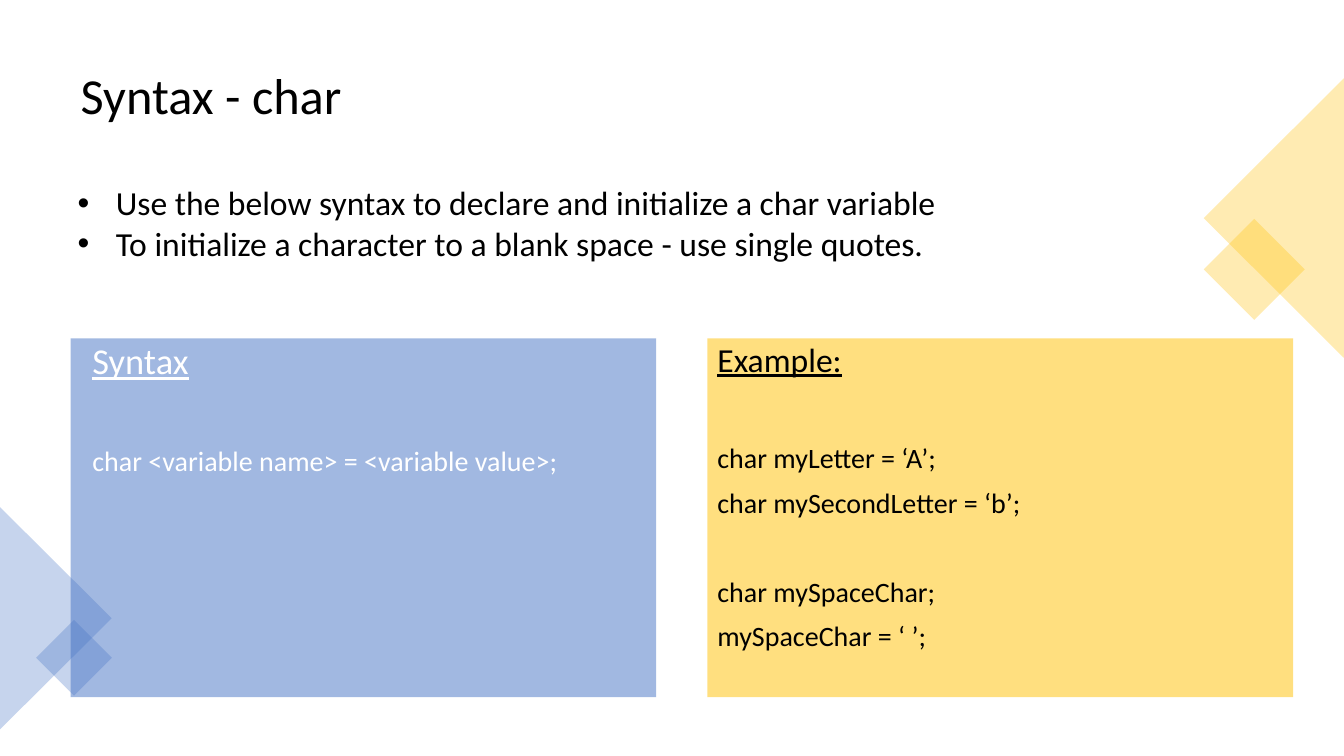
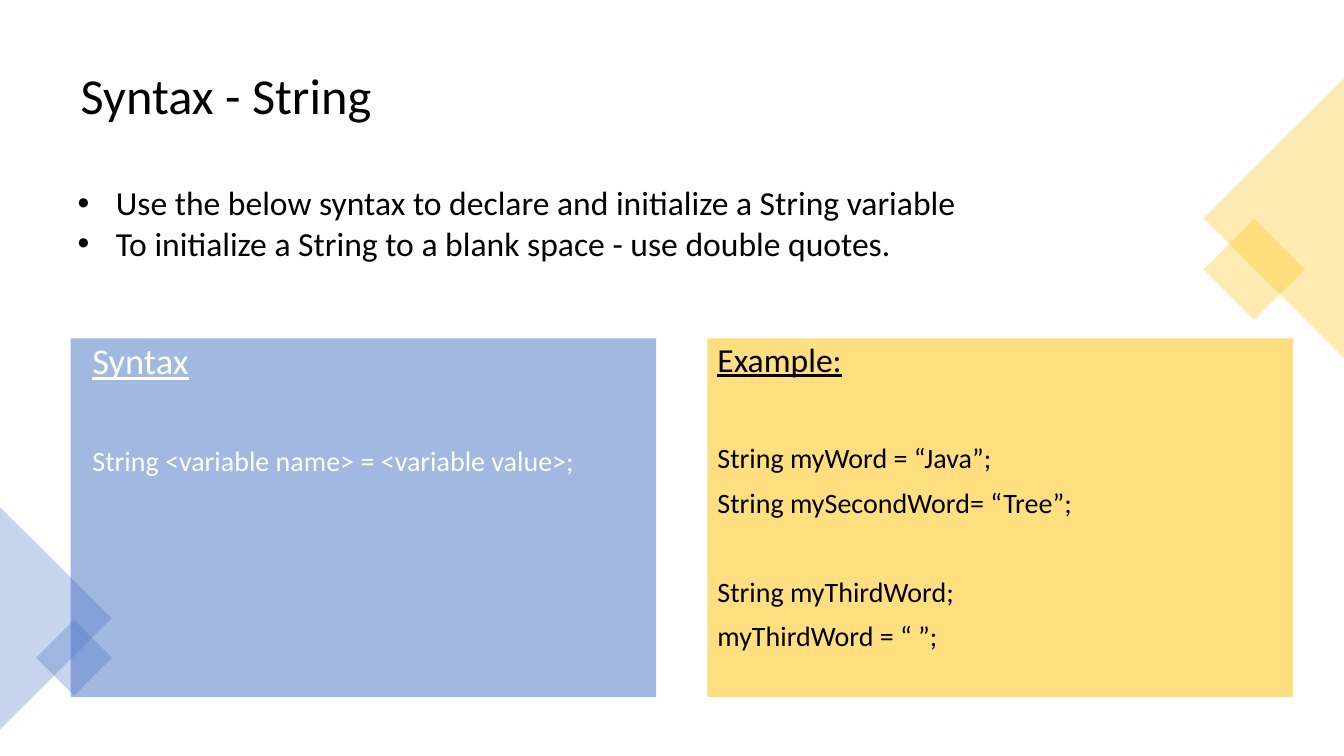
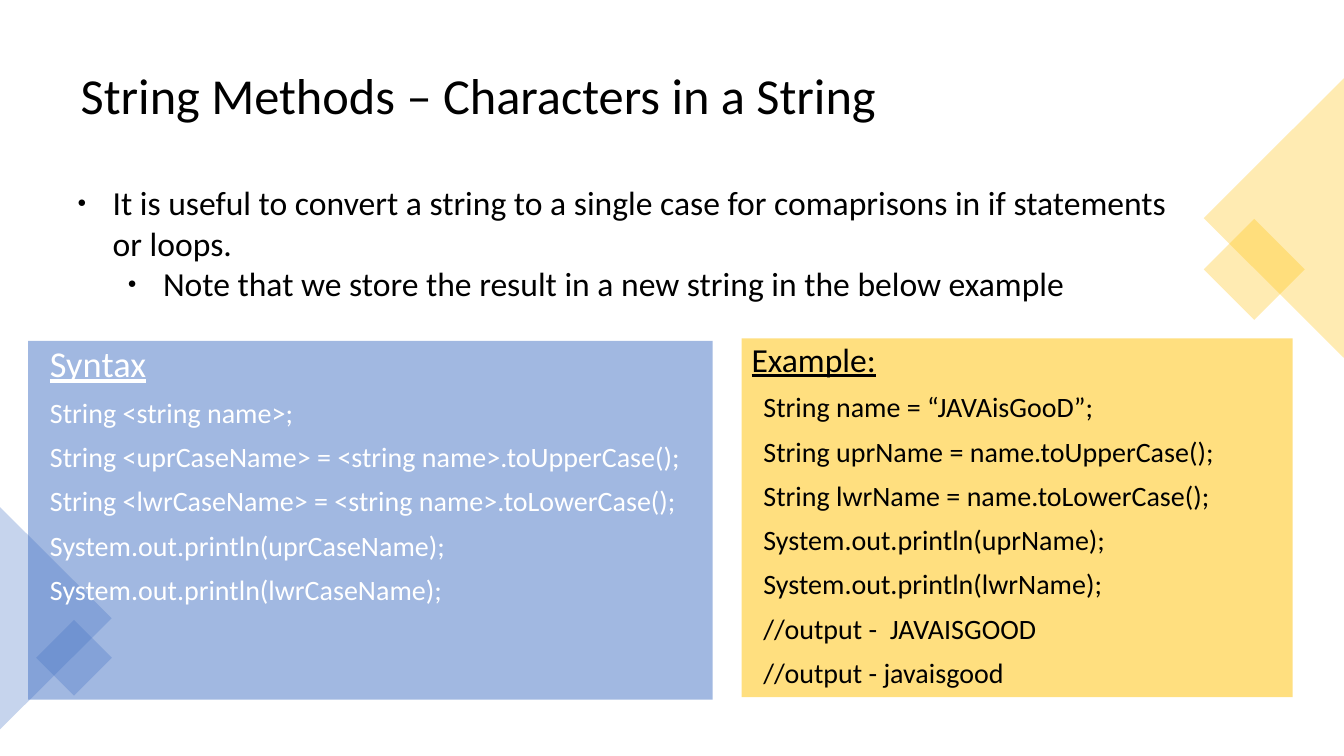
from dataclasses import dataclass

import lxml.etree
import pptx
import pptx.dml.color
import pptx.enum.shapes
import pptx.enum.text
import pptx.oxml.ns
import pptx.util

Cm = pptx.util.Cm
Pt = pptx.util.Pt
RGB = pptx.dml.color.RGBColor
SHAPES = pptx.enum.shapes.MSO_SHAPE


@dataclass(frozen=True)
class Theme:
    font: str = "Calibri"
    ink: RGB = RGB(0x00, 0x00, 0x00)
    paper: RGB = RGB(0xFF, 0xFF, 0xFF)
    blue: RGB = RGB(0x44, 0x72, 0xC4)
    gold: RGB = RGB(0xFF, 0xC0, 0x00)
    decor_opacity: int = 30
    panel_opacity: int = 50
    title_size: int = 36
    bullet_size: int = 24
    syntax_heading_size: int = 26
    example_heading_size: int = 24
    code_size: int = 20
    line_spacing: float = 0.9
    line_gap: int = 10
    heading_gap: float = 46.4
    group_gap: int = 42
    panel_height: float = 9.04


@dataclass(frozen=True)
class BulletStyle:
    mark: str
    percent: int
    indent: float
    hanging: float


@dataclass(frozen=True)
class Panel:
    left: float
    top: float
    width: float
    code_indent: float
    groups: tuple


@dataclass(frozen=True)
class Lesson:
    title: str
    bullets: tuple
    bullet_style: BulletStyle
    syntax: Panel
    example: Panel
    heading_gap: float


THEME = Theme()
ROUND_BULLET = BulletStyle("•", 100, 1.27, 0.96)
SMALL_BULLET = BulletStyle("●", 45, 1.19, 0.89)
LEVEL_STEP = 1.27
CODE_INDENT = 0.3

DECOR = (
    (SHAPES.RECTANGLE, (30.71, 5.89, 1.8, 1.8), 45, THEME.gold),
    (SHAPES.ISOSCELES_TRIANGLE, (28.58, 3.73, 7.04, 3.53), 270, THEME.gold),
    (SHAPES.ISOSCELES_TRIANGLE, (-1.4, 14.17, 5.61, 2.82), 90, THEME.blue),
    (SHAPES.RECTANGLE, (1.19, 15.9, 1.35, 1.35), 45, THEME.blue),
)


def declaration_lesson(type_name, noun, quotes, examples):
    return Lesson(
        f"Syntax - {type_name}",
        (
            (0, f"Use the below syntax to declare and initialize a {type_name} variable"),
            (0, f"To initialize a {noun} to a blank space - use {quotes} quotes."),
        ),
        ROUND_BULLET,
        Panel(1.78, 8.53, 14.76, CODE_INDENT,
              ((f"{type_name} <variable name> = <variable value>;",),)),
        Panel(17.83, 8.53, 14.76, 0, examples),
        THEME.heading_gap,
    )


LESSONS = (
    declaration_lesson("char", "character", "single", (
        ("char myLetter = ‘A’;", "char mySecondLetter = ‘b’;"),
        ("char mySpaceChar;", "mySpaceChar = ‘ ’;"),
    )),
    declaration_lesson("String", "String", "double", (
        ("String myWord = “Java”;", "String mySecondWord= “Tree”;"),
        ("String myThirdWord;", "myThirdWord = “ ”;"),
    )),
    Lesson(
        "String Methods – Characters in a String",
        (
            (0, "It is useful to convert a string to a single case for "
                "comaprisons in if statements or loops."),
            (1, "Note that we store the result in a new string in the below example"),
        ),
        SMALL_BULLET,
        Panel(0.71, 8.59, 17.25, CODE_INDENT, ((
            "String <string name>;",
            "String <uprCaseName> = <string name>.toUpperCase();",
            "String <lwrCaseName> = <string name>.toLowerCase();",
            "System.out.println(uprCaseName);",
            "System.out.println(lwrCaseName);",
        ),)),
        Panel(18.69, 8.53, 13.89, CODE_INDENT, ((
            "String name = “JAVAisGooD”;",
            "String uprName = name.toUpperCase();",
            "String lwrName = name.toLowerCase();",
            "System.out.println(uprName);",
            "System.out.println(lwrName);",
            "//output -  JAVAISGOOD",
            "//output - javaisgood",
        ),)),
        THEME.line_gap,
    ),
)


def add_xml(parent, tag, **attributes):
    return lxml.etree.SubElement(parent, pptx.oxml.ns.qn(tag), attributes)


def format_runs(paragraph, size, color, underline=False):
    paragraph.alignment = pptx.enum.text.PP_ALIGN.LEFT
    for run in paragraph.runs:
        run.font.name = THEME.font
        run.font.size = Pt(size)
        run.font.color.rgb = color
        run.font.underline = underline


def indent(paragraph, margin, first_line=0):
    properties = paragraph._p.get_or_add_pPr()
    properties.set("marL", str(Cm(margin)))
    properties.set("indent", str(Cm(first_line)))
    return properties


def add_translucent(slide, preset, box, color, opacity):
    shape = slide.shapes.add_shape(preset, *map(Cm, box))
    shape.shadow.inherit = False
    shape.line.fill.background()
    shape.fill.solid()
    shape.fill.fore_color.rgb = color
    solid = shape.element.spPr.find(pptx.oxml.ns.qn("a:solidFill"))
    add_xml(solid[0], "a:alpha", val=str(opacity * 1000))
    return shape


def set_title(slide, wording):
    title = slide.shapes.title
    title.left, title.top, title.width, title.height = map(Cm, (1.78, 0.89, 30.3, 3.15))
    title.text_frame.text = wording
    title.text_frame.vertical_anchor = pptx.enum.text.MSO_ANCHOR.MIDDLE
    heading = title.text_frame.paragraphs[0]
    heading.line_spacing = THEME.line_spacing
    format_runs(heading, THEME.title_size, THEME.ink)


def add_decor(slide):
    for preset, box, angle, color in DECOR:
        ornament = add_translucent(slide, preset, box, color, THEME.decor_opacity)
        ornament.rotation = angle


def add_bullets(slide, bullets, style):
    frame = slide.shapes.add_textbox(*map(Cm, (1.4, 4.47, 28.58, 3.33))).text_frame
    frame.word_wrap = True
    frame.text = "\n".join(wording for _, wording in bullets)
    for paragraph, (level, _) in zip(frame.paragraphs, bullets):
        paragraph.level = level
        format_runs(paragraph, THEME.bullet_size, THEME.ink)
        properties = indent(paragraph, style.indent + level * LEVEL_STEP, -style.hanging)
        add_xml(properties, "a:buSzPct", val=str(style.percent * 1000))
        add_xml(properties, "a:buFont", typeface="Arial")
        add_xml(properties, "a:buChar", char=style.mark)


def add_panel(slide, panel, heading, heading_size, heading_indent, heading_gap, fill, ink):
    box = (panel.left, panel.top, panel.width, THEME.panel_height)
    frame = add_translucent(slide, SHAPES.RECTANGLE, box, fill, THEME.panel_opacity).text_frame
    frame.word_wrap = True
    frame.vertical_anchor = pptx.enum.text.MSO_ANCHOR.TOP
    lines = [(heading, THEME.line_gap)]
    for group_number, group in enumerate(panel.groups):
        opening_gap = THEME.group_gap if group_number else heading_gap
        lines += [(code, THEME.line_gap if number else opening_gap)
                  for number, code in enumerate(group)]
    frame.text = "\n".join(wording for wording, _ in lines)
    for number, (paragraph, (_, gap)) in enumerate(zip(frame.paragraphs, lines)):
        is_heading = number == 0
        paragraph.line_spacing = THEME.line_spacing
        paragraph.space_before = Pt(gap)
        indent(paragraph, heading_indent if is_heading else panel.code_indent)
        format_runs(paragraph, heading_size if is_heading else THEME.code_size, ink, is_heading)


def add_lesson(deck, lesson):
    slide = deck.slides.add_slide(deck.slide_layouts.get_by_name("Title Only"))
    set_title(slide, lesson.title)
    add_decor(slide)
    add_bullets(slide, lesson.bullets, lesson.bullet_style)
    add_panel(slide, lesson.syntax, "Syntax", THEME.syntax_heading_size, CODE_INDENT,
              lesson.heading_gap, THEME.blue, THEME.paper)
    add_panel(slide, lesson.example, "Example:", THEME.example_heading_size, 0,
              lesson.heading_gap, THEME.gold, THEME.ink)


def main():
    deck = pptx.Presentation()
    deck.slide_width, deck.slide_height = Cm(33.87), Cm(19.05)
    for lesson in LESSONS:
        add_lesson(deck, lesson)
    deck.save("out.pptx")


if __name__ == "__main__":
    main()
